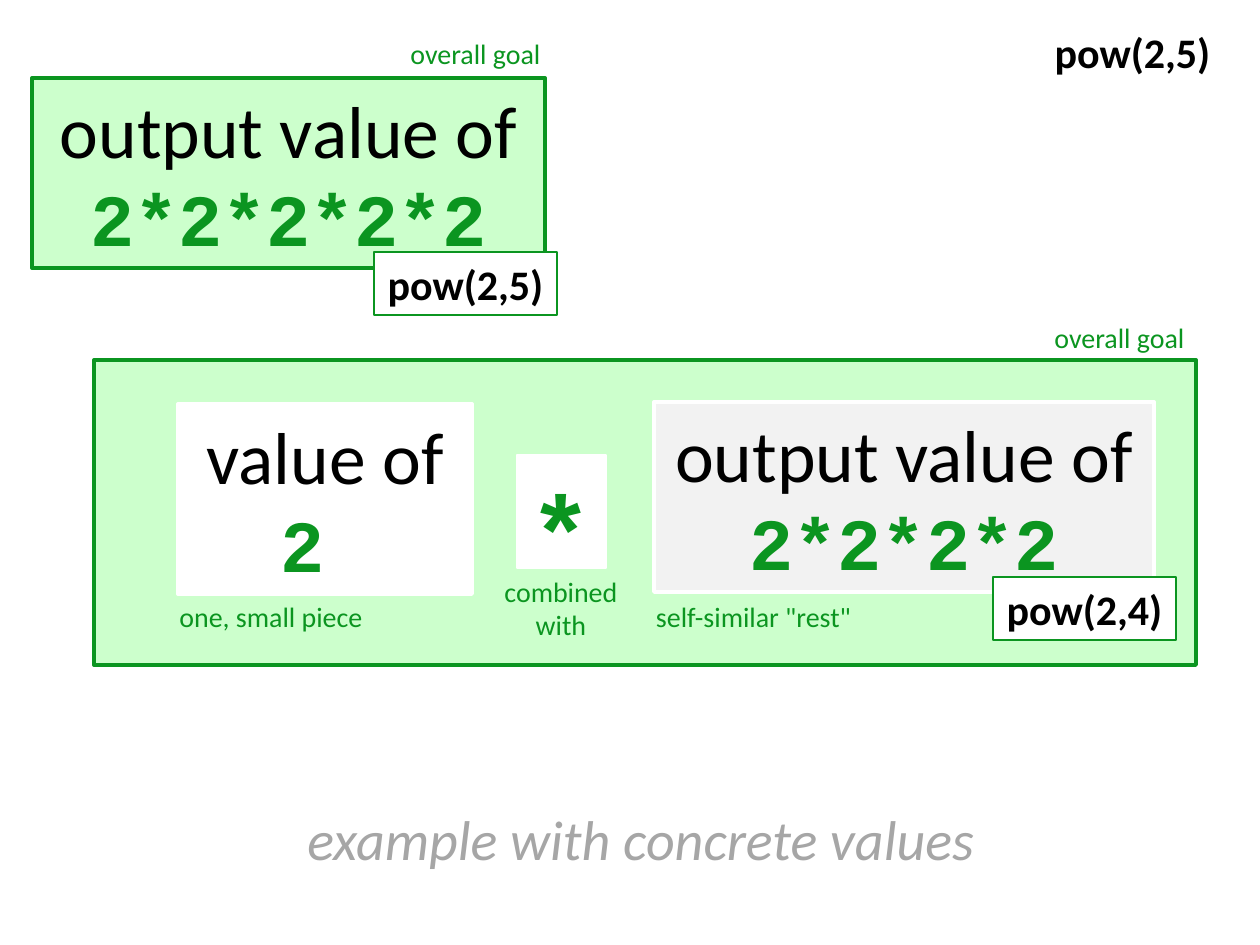
from pptx import Presentation
from pptx.dml.color import RGBColor
from pptx.enum.shapes import MSO_SHAPE
from pptx.enum.text import MSO_ANCHOR, MSO_AUTO_SIZE, PP_ALIGN
from pptx.util import Pt

RECTANGLE = MSO_SHAPE.RECTANGLE
MIDDLE, TOP = MSO_ANCHOR.MIDDLE, MSO_ANCHOR.TOP
CENTER, LEFT = PP_ALIGN.CENTER, PP_ALIGN.LEFT
FIT_SHAPE = MSO_AUTO_SIZE.SHAPE_TO_FIT_TEXT
EMU_PER_PX = 914400 / 126

THEME = {
    "green": RGBColor(0x0B, 0x95, 0x20),
    "pale_green": RGBColor(0xCC, 0xFF, 0xCC),
    "white": RGBColor(0xFF, 0xFF, 0xFF),
    "light_gray": RGBColor(0xF2, 0xF2, 0xF2),
    "gray": RGBColor(0xA6, 0xA6, 0xA6),
    "black": RGBColor(0, 0, 0),
    "body_font": "Calibri",
    "code_font": "Courier New",
    "label": 16,
    "call": 24,
    "caption": 32,
    "goal": 42,
    "operator": 60,
    "thin": 0.75,
    "thick": 2.25,
}

prs = Presentation()
prs.slide_width, prs.slide_height = [round(n * EMU_PER_PX) for n in (1260, 945)]
slide = prs.slides.add_slide(prs.slide_layouts[6])


def add_box(px, fill, line, weight):
    box = slide.shapes.add_shape(RECTANGLE, *[round(n * EMU_PER_PX) for n in px])
    box.shadow.inherit = False
    box.fill.solid()
    box.fill.fore_color.rgb = THEME[fill]
    box.line.color.rgb = THEME[line]
    box.line.width = Pt(THEME[weight])
    return box


def add_text(text, px=None, box=None, code="", size="label", color="green",
             font="body_font", bold=False, italic=False, align=CENTER, wrap=False):
    """Write text, then code in green monospace, into box or a new text box at px."""
    anchor = MIDDLE if box else TOP
    if box is None:
        box = slide.shapes.add_textbox(*[round(n * EMU_PER_PX) for n in px])
    frame = box.text_frame
    frame.word_wrap = wrap
    frame.auto_size = FIT_SHAPE
    frame.vertical_anchor = anchor
    paragraph = frame.paragraphs[0]
    paragraph.alignment = align
    parts = [(text, font, color, bold)]
    if code:
        parts.append((code, "code_font", "green", True))
    for words, face, ink, heavy in parts:
        run = paragraph.add_run()
        run.text = words
        run.font.name = THEME[face]
        run.font.size = Pt(THEME[size])
        run.font.color.rgb = THEME[ink]
        run.font.bold = heavy
        run.font.italic = italic


# Panel that splits the goal, and the operator tile
add_box((94, 360, 1102, 305), "pale_green", "green", "thick")
add_box((517, 455, 89, 113), "white", "white", "thin")

# Goal and its two pieces
for words, code, px, fill, line in [
    ("value of ", "2 ", (178, 404, 294, 190), "white", "white"),
    ("output value of ", "2*2*2*2", (654, 402, 500, 190), "light_gray", "white"),
    ("output value of ", "2*2*2*2*2", (32, 78, 513, 190), "pale_green", "green"),
]:
    goal = add_box(px, fill, line, "thick")
    add_text(words, box=goal, code=code, size="goal", color="black", wrap=True)

# Labels
for words, px in [
    ("one, small piece", (164, 593, 214, 47)),
    ('self-similar "rest"', (638, 593, 231, 47)),
    ("overall goal", (1041, 314, 157, 47)),
    ("overall goal", (397, 30, 157, 47)),
]:
    add_text(words, px)
add_text("combined with", (484, 568, 154, 81), wrap=True)
add_text("*", (517, 459, 89, 140), size="operator", font="code_font",
         bold=True, align=LEFT)

# Function calls
for words, left, top, line in [
    ("pow(2,4)", 993, 577, "green"),
    ("pow(2,5)", 374, 252, "green"),
    ("pow(2,5)", 1041, 20, "white"),
]:
    call = add_box((left, top, 183, 63), "white", line, "thin")
    add_text(words, box=call, size="call", color="black", bold=True)

add_text("example with concrete values", (295, 798, 699, 81), size="caption",
         color="gray", italic=True, align=LEFT)

prs.save("out.pptx")
